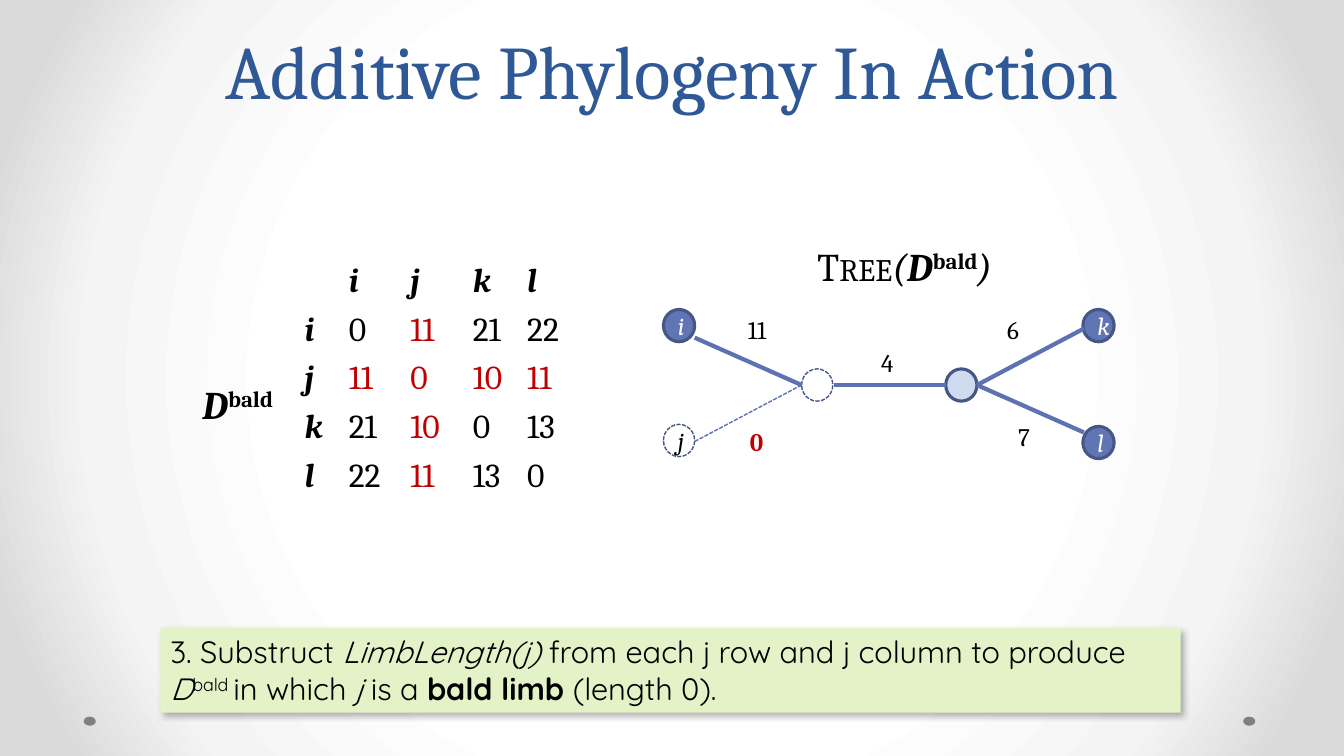
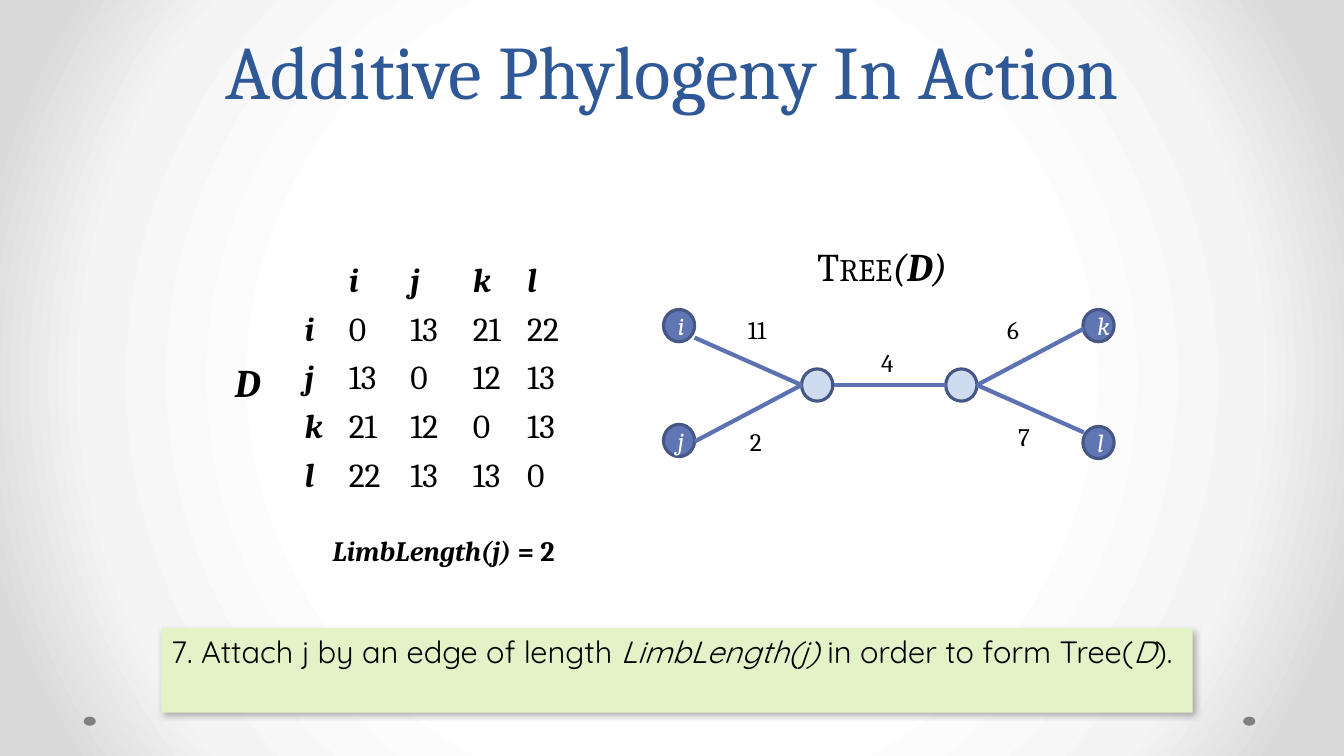
from lxml import etree
from pptx import Presentation
from pptx.dml.color import RGBColor
from pptx.enum.dml import MSO_LINE
from pptx.enum.shapes import MSO_CONNECTOR, MSO_SHAPE
from pptx.enum.text import MSO_ANCHOR, MSO_AUTO_SIZE, PP_ALIGN
from pptx.oxml import parse_xml
from pptx.oxml.ns import nsdecls, qn
from pptx.util import Inches, Pt

BLACK = RGBColor(0x00, 0x00, 0x00)
WHITE = RGBColor(0xFF, 0xFF, 0xFF)
RED = RGBColor(0xC0, 0x00, 0x00)
GREY = RGBColor(0x80, 0x80, 0x80)
TITLE_BLUE = RGBColor(0x2F, 0x58, 0x97)
LEAF_BLUE = RGBColor(0x60, 0x76, 0xB4)
INNER_BLUE = RGBColor(0xCF, 0xDC, 0xF0)
OUTLINE_BLUE = RGBColor(0x47, 0x57, 0x85)
EDGE_BLUE = RGBColor(0x5C, 0x72, 0xB2)
CALLOUT_GREEN = RGBColor(0xE3, 0xF2, 0xC7)
BACKGROUND_STOPS = ((50, "FFFFFF"), (76, "F4F4F4"), (92, "DADADA"))

SERIF = "Cambria"
SANS = "Quicksand"
PLAIN_TABLE = "{2D5ABB26-0587-4C30-8999-92F81FD0307C}"

LEAVES = "ijkl"
DISTANCES = ((0, 13, 21, 22), (13, 0, 12, 13), (21, 12, 0, 13), (22, 13, 13, 0))
LIMB_LENGTH = 2
COLUMN_WIDTHS = (0.44, 0.61, 0.62, 0.54, 0.54)
NODE_WIDTH, NODE_HEIGHT = 0.31, 0.32
LEAF_PLACES = {"i": (6.58, 3.07), "j": (6.58, 4.21), "k": (10.74, 3.07), "l": (10.74, 4.23)}
INNER_PLACES = ((7.95, 3.66), (9.38, 3.66))
JOINT_Y = 3.82
EDGES = (
    ((6.89, 3.35), (7.95, JOINT_Y)),
    ((9.69, JOINT_Y), (10.75, 4.29)),
    ((9.69, JOINT_Y), (10.75, 3.26)),
    ((8.27, JOINT_Y), (9.38, JOINT_Y)),
)
LIMB_EDGE = ((6.89, 4.38), (7.95, JOINT_Y))
LENGTH_LABELS = (("11", 7.32, 3.07), ("4", 8.64, 3.4), ("6", 9.89, 3.07), ("7", 10, 4.13))


def box(left, top, width, height):
    """Return a position and size in inches as lengths."""
    return Inches(left), Inches(top), Inches(width), Inches(height)


def set_background(master):
    """Give the master its radial grey background."""
    master.background.fill.gradient()
    properties = master.element.find(".//" + qn("p:bgPr"))
    stops = "".join(
        f'<a:gs pos="{percent * 1000}"><a:srgbClr val="{colour}"/></a:gs>'
        for percent, colour in BACKGROUND_STOPS
    )
    gradient = parse_xml(
        f'<a:gradFill {nsdecls("a")} rotWithShape="1"><a:gsLst>{stops}</a:gsLst>'
        '<a:path path="circle"><a:fillToRect l="50000" t="50000" r="50000" b="50000"/>'
        "</a:path></a:gradFill>"
    )
    properties.replace(properties.find(qn("a:gradFill")), gradient)


def write_runs(paragraph, runs, size, font=SERIF, colour=BLACK):
    """Add (text, style) runs; style letters: b bold, i italic, s small caps, ^ raised."""
    for text, style in runs:
        run = paragraph.add_run()
        run.text = text
        run.font.name = font
        run.font.size = Pt(size)
        run.font.color.rgb = colour
        run.font.bold = "b" in style
        run.font.italic = "i" in style
        properties = run._r.get_or_add_rPr()
        if "s" in style:
            properties.set("cap", "small")
        if "^" in style:
            properties.set("baseline", "30000")


def add_label(shapes, place, runs, size, colour=BLACK):
    """Add an unwrapped text box that fits its text."""
    text_frame = shapes.add_textbox(*box(*place)).text_frame
    text_frame.word_wrap = False
    text_frame.auto_size = MSO_AUTO_SIZE.SHAPE_TO_FIT_TEXT
    write_runs(text_frame.paragraphs[0], runs, size, colour=colour)


def add_filled(shapes, kind, place, fill=None):
    """Add a shape with no shadow or outline and an optional fill."""
    shape = shapes.add_shape(kind, *box(*place))
    shape.shadow.inherit = False
    shape.line.fill.background()
    if fill is None:
        shape.fill.background()
    else:
        shape.fill.solid()
        shape.fill.fore_color.rgb = fill
    return shape


def add_title(slide, text):
    """Place and format the slide title."""
    title = slide.shapes.title
    title.left, title.top, title.width, title.height = box(0.67, 0, 12, 1.19)
    text_frame = title.text_frame
    text_frame.vertical_anchor = MSO_ANCHOR.BOTTOM
    text_frame.auto_size = MSO_AUTO_SIZE.NONE
    paragraph = text_frame.paragraphs[0]
    paragraph.alignment = PP_ALIGN.CENTER
    paragraph.line_spacing = Pt(58)
    write_runs(paragraph, [(text, "")], 54, colour=TITLE_BLUE)


def add_matrix(slide, bald):
    """Add the distance matrix, with the limb of j taken off when bald."""
    size = len(COLUMN_WIDTHS)
    frame = slide.shapes.add_table(size, size, *box(2.92, 2.55, sum(COLUMN_WIDTHS), 2.05))
    table = frame.table
    table.first_row = table.horz_banding = False
    next(table._tbl.iter(qn("a:tableStyleId"))).text = PLAIN_TABLE
    for column, width in zip(table.columns, COLUMN_WIDTHS):
        column.width = Inches(width)
    for cell in table.iter_cells():
        cell.fill.background()
    for index, leaf in enumerate(LEAVES, 1):
        for cell in (table.cell(0, index), table.cell(index, 0)):
            write_runs(cell.text_frame.paragraphs[0], [(leaf, "bi")], 24)
    for row, (leaf, distances) in enumerate(zip(LEAVES, DISTANCES), 1):
        for column, (other, distance) in enumerate(zip(LEAVES, distances), 1):
            changed = bald and "j" in (leaf, other)
            if changed and leaf != other:
                distance -= LIMB_LENGTH
            paragraph = table.cell(row, column).text_frame.paragraphs[0]
            write_runs(paragraph, [(str(distance), "")], 24, colour=RED if changed else BLACK)


def add_node(shapes, place, fill, dashed=False, leaf=""):
    """Add a tree node, dashed and hollow while it is detached."""
    node = add_filled(shapes, MSO_SHAPE.OVAL, (*place, NODE_WIDTH, NODE_HEIGHT),
                      None if dashed else fill)
    node.line.color.rgb = OUTLINE_BLUE
    node.line.width = Pt(1 if dashed else 2.25)
    if dashed:
        node.line.dash_style = MSO_LINE.SQUARE_DOT
    if leaf:
        node.text_frame.vertical_anchor = MSO_ANCHOR.MIDDLE
        paragraph = node.text_frame.paragraphs[0]
        paragraph.alignment = PP_ALIGN.CENTER
        write_runs(paragraph, [(leaf, "i")], 18, colour=BLACK if dashed else WHITE)


def add_edge(shapes, start, end, dashed=False):
    """Add a straight tree edge."""
    edge = shapes.add_connector(MSO_CONNECTOR.STRAIGHT, *map(Inches, start + end))
    edge.line.color.rgb = EDGE_BLUE
    edge.line.width = Pt(1 if dashed else 3)
    if dashed:
        edge.line.dash_style = MSO_LINE.SQUARE_DOT
    etree.SubElement(edge._element.spPr, qn("a:effectLst"))


def add_tree(slide, bald):
    """Add the tree as a group, with the limb of j dashed when bald."""
    shapes = slide.shapes.add_group_shape().shapes
    for leaf, place in LEAF_PLACES.items():
        add_node(shapes, place, LEAF_BLUE, bald and leaf == "j", leaf)
    for index, place in enumerate(INNER_PLACES):
        add_node(shapes, place, INNER_BLUE, bald and index == 0)
    for start, end in EDGES:
        add_edge(shapes, start, end)
    add_edge(shapes, *LIMB_EDGE, dashed=bald)
    for text, left, top in LENGTH_LABELS:
        add_label(shapes, (left, top, 0.45 if len(text) > 1 else 0.33, 0.4), [(text, "")], 18)
    limb, style, colour = ("0", "b", RED) if bald else (str(LIMB_LENGTH), "", BLACK)
    add_label(shapes, (7.34, 4.18, 0.33, 0.4), [(limb, style)], 18, colour)


def add_callout(slide, left, width, runs):
    """Add the green step box with its soft shadow."""
    callout = add_filled(slide.shapes, MSO_SHAPE.RECTANGLE, (left, 6.23, width, 0.84),
                         CALLOUT_GREEN)
    effects = callout._element.spPr.find(qn("a:effectLst"))
    effects.append(parse_xml(
        f'<a:outerShdw {nsdecls("a")} blurRad="{Pt(4.5)}" dist="{Pt(2.6)}" dir="3180000" '
        'algn="tl" rotWithShape="0"><a:srgbClr val="000000"><a:alpha val="30000"/>'
        "</a:srgbClr></a:outerShdw>"
    ))
    text_frame = callout.text_frame
    text_frame.word_wrap = True
    text_frame.vertical_anchor = MSO_ANCHOR.TOP
    paragraph = text_frame.paragraphs[0]
    paragraph.alignment = PP_ALIGN.LEFT
    write_runs(paragraph, runs, 22, SANS)


def add_step_slide(presentation, bald, name_place, heading_width):
    """Add a slide with the title, dots, matrix, tree and their names."""
    slide = presentation.slides.add_slide(presentation.slide_layouts[5])
    for left in (12.33, 0.83):
        add_filled(slide.shapes, MSO_SHAPE.OVAL, (left, 7.11, 0.12, 0.09), GREY)
    add_title(slide, "Additive Phylogeny In Action")
    add_matrix(slide, bald)
    name = [("D", "bi")] + ([("bald", "b^")] if bald else [])
    add_label(slide.shapes, name_place, name, 28)
    add_tree(slide, bald)
    heading = [("Tree", "s"), ("(", "i"), *name, (")", "i")]
    add_label(slide.shapes, (8.01, 2.35, heading_width, 0.57), heading, 28)
    return slide


def main():
    """Build and save the presentation."""
    presentation = Presentation()
    presentation.slide_width = Inches(13.33)
    presentation.slide_height = Inches(7.5)
    set_background(presentation.slide_master)

    bald_slide = add_step_slide(presentation, True, (1.91, 3.72, 1.05, 0.57), 2.14)
    add_callout(bald_slide, 1.59, 10.12, [
        ("3. Substruct ", ""), ("LimbLength(j)", "i"),
        (" from each j row and j column to produce ", ""), ("D", "i"), ("bald ", "^"),
        ("in which", ""), (" j ", "i"), ("is a ", ""), ("bald limb ", "b"), ("(length 0).", ""),
    ])

    final_slide = add_step_slide(presentation, False, (2.23, 3.51, 0.51, 0.57), 1.64)
    add_callout(final_slide, 1.6, 10.23, [
        ("7. Attach j by an edge of length ", ""), ("LimbLength(j) ", "i"),
        ("in order to form Tree(", ""), ("D", "i"), (").", ""),
    ])
    add_label(final_slide.shapes, (3.2, 5.24, 2.41, 0.44),
              [("LimbLength(j)", "bi"), (f" = {LIMB_LENGTH}", "b")], 20)

    presentation.save("out.pptx")


if __name__ == "__main__":
    main()
